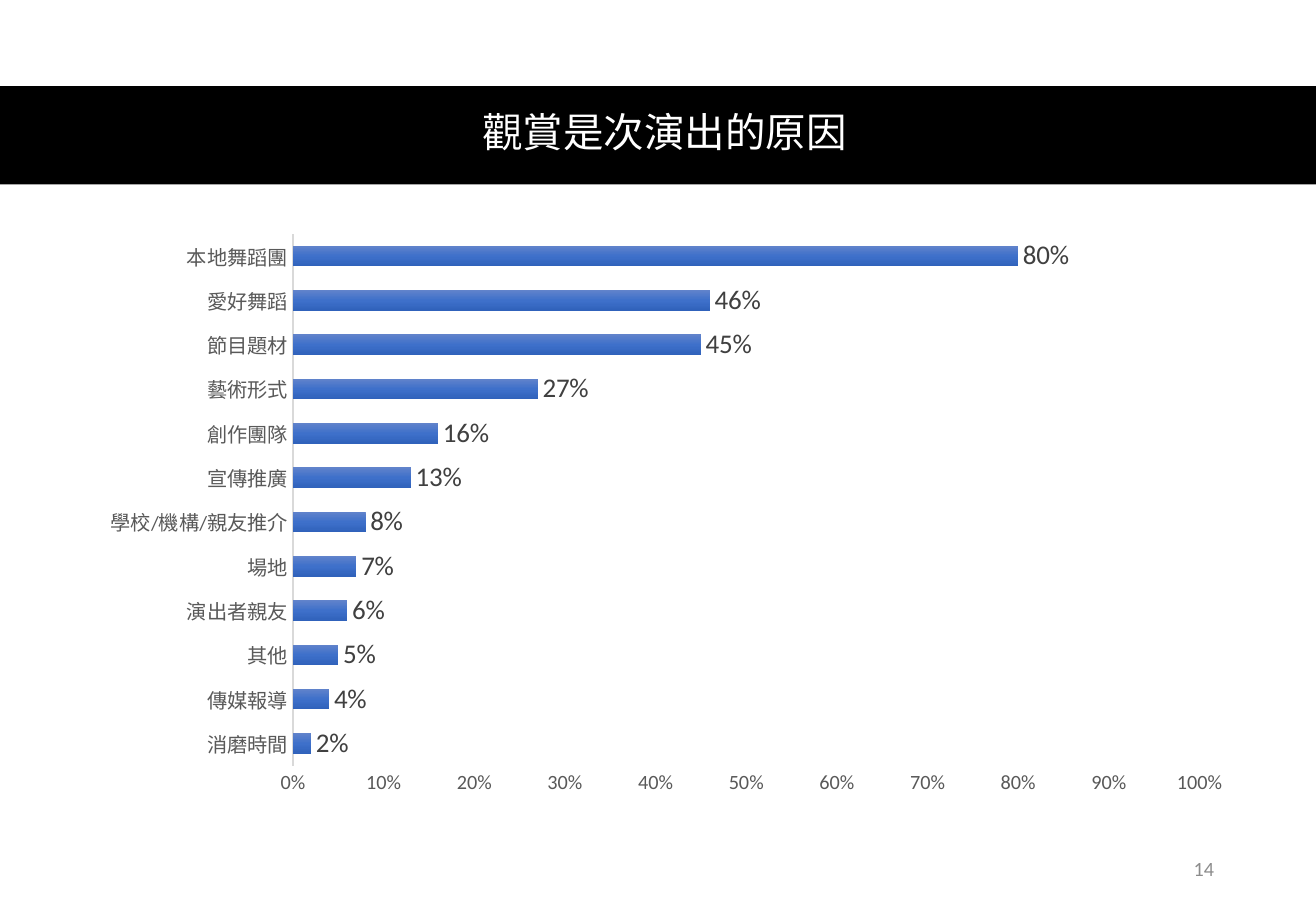
"""Build the slide on reasons for attending the performance."""
from copy import deepcopy

from pptx import Presentation
from pptx.chart.data import CategoryChartData
from pptx.dml.color import RGBColor
from pptx.enum.chart import XL_CHART_TYPE, XL_LABEL_POSITION, XL_TICK_MARK
from pptx.enum.shapes import MSO_SHAPE
from pptx.enum.text import MSO_ANCHOR, PP_ALIGN
from pptx.oxml import parse_xml
from pptx.oxml.ns import nsdecls, qn
from pptx.util import Cm, Pt

BAR = XL_CHART_TYPE.BAR_CLUSTERED
OUTER = XL_LABEL_POSITION.OUTSIDE_END
NONE = XL_TICK_MARK.NONE
RECT = MSO_SHAPE.RECTANGLE
MIDDLE = MSO_ANCHOR.MIDDLE
CENTER, RIGHT = PP_ALIGN.CENTER, PP_ALIGN.RIGHT

BLACK = RGBColor(0, 0, 0)
WHITE = RGBColor(255, 255, 255)
DARK = RGBColor(0x40, 0x40, 0x40)
GRAY = RGBColor(0x59, 0x59, 0x59)
PALE = RGBColor(0x8C, 0x8C, 0x8C)
RULE = RGBColor(0xD9, 0xD9, 0xD9)
BLUES = [
    (0, RGBColor(0x61, 0x83, 0xCB)),
    (0.5, RGBColor(0x3E, 0x70, 0xCA)),
    (1, RGBColor(0x30, 0x62, 0xBB)),
]

TITLE = "觀賞是次演出的原因"
PAGE = "14"
REASONS = [
    ("消磨時間", 0.02),
    ("傳媒報導", 0.04),
    ("其他", 0.05),
    ("演出者親友", 0.06),
    ("場地", 0.07),
    ("學校/機構/親友推介", 0.08),
    ("宣傳推廣", 0.13),
    ("創作團隊", 0.16),
    ("藝術形式", 0.27),
    ("節目題材", 0.45),
    ("愛好舞蹈", 0.46),
    ("本地舞蹈團", 0.8),
]
PLOT = {"x": 0.19, "y": 0.02, "w": 0.77, "h": 0.91}


def style(font, size, color, name="Calibri"):
    font.size, font.name = Pt(size), name
    font.color.rgb = color


def add_text(slide, box, text, align, size, color, name="Calibri"):
    frame = slide.shapes.add_textbox(*map(Cm, box)).text_frame
    frame.word_wrap = True
    frame.vertical_anchor = MIDDLE
    para = frame.paragraphs[0]
    para.text = text
    para.alignment = align
    style(para.font, size, color, name)
    return para


def shade(series):
    fill = series.format.fill
    fill.gradient()
    fill.gradient_angle = 270
    stops = series._element.find(".//" + qn("a:gsLst"))
    stops.append(deepcopy(stops[-1]))
    for stop, (place, color) in zip(fill.gradient_stops, BLUES):
        stop.position = place
        stop.color.rgb = color


def place_plot(chart):
    area = chart._chartSpace.find(".//" + qn("c:plotArea"))
    for old in area.findall(qn("c:layout")):
        area.remove(old)
    sizes = "".join(f'<c:{key} val="{val}"/>' for key, val in PLOT.items())
    area.insert(0, parse_xml(
        f'<c:layout {nsdecls("c")}><c:manualLayout>'
        '<c:layoutTarget val="inner"/><c:xMode val="edge"/>'
        f'<c:yMode val="edge"/>{sizes}</c:manualLayout></c:layout>'))


def add_bars(slide, box):
    data = CategoryChartData(number_format="0%")
    data.categories = [name for name, _ in REASONS]
    data.add_series("Series 1", [share for _, share in REASONS])
    chart = slide.shapes.add_chart(BAR, *map(Cm, box), data).chart
    style(chart.font, 10, BLACK)
    chart.has_legend = chart.has_title = False

    for axis in (chart.category_axis, chart.value_axis):
        axis.major_tick_mark = axis.minor_tick_mark = NONE
        axis.has_major_gridlines = False
        style(axis.tick_labels.font, 12, GRAY)
    line = chart.category_axis.format.line
    line.color.rgb, line.width = RULE, Pt(1)
    axis = chart.value_axis
    axis.format.line.fill.background()
    axis.minimum_scale, axis.maximum_scale, axis.major_unit = 0, 1, 0.1
    axis.tick_labels.number_format = "0%"
    axis.tick_labels.number_format_is_linked = False

    plot = chart.plots[0]
    plot.gap_width, plot.overlap = 115, -20
    plot.vary_by_categories = False
    shade(plot.series[0])
    labels = plot.series[0].data_labels
    labels.show_value = True
    labels.position = OUTER
    labels.number_format = "0%"
    labels.number_format_is_linked = False
    style(labels.font, 16, DARK)
    place_plot(chart)


def main():
    deck = Presentation()
    deck.slide_width, deck.slide_height = Cm(27.51), Cm(19.05)
    slide = deck.slides.add_slide(deck.slide_layouts[6])

    band = slide.shapes.add_shape(
        RECT, 0, Cm(1.8), deck.slide_width, Cm(2.06))
    band.shadow.inherit = False
    band.fill.solid()
    band.fill.fore_color.rgb = BLACK
    band.line.fill.background()

    title = add_text(slide, (1.24, 1.78, 25.3, 2.06), TITLE,
                     CENTER, 24, WHITE, "Roboto")
    title.line_spacing = 0.9
    add_bars(slide, (1.45, 4.65, 24.61, 12.22))
    add_text(slide, (19.43, 17.65, 6.2, 1.02), PAGE, RIGHT, 12, PALE)
    deck.save("out.pptx")


if __name__ == "__main__":
    main()
